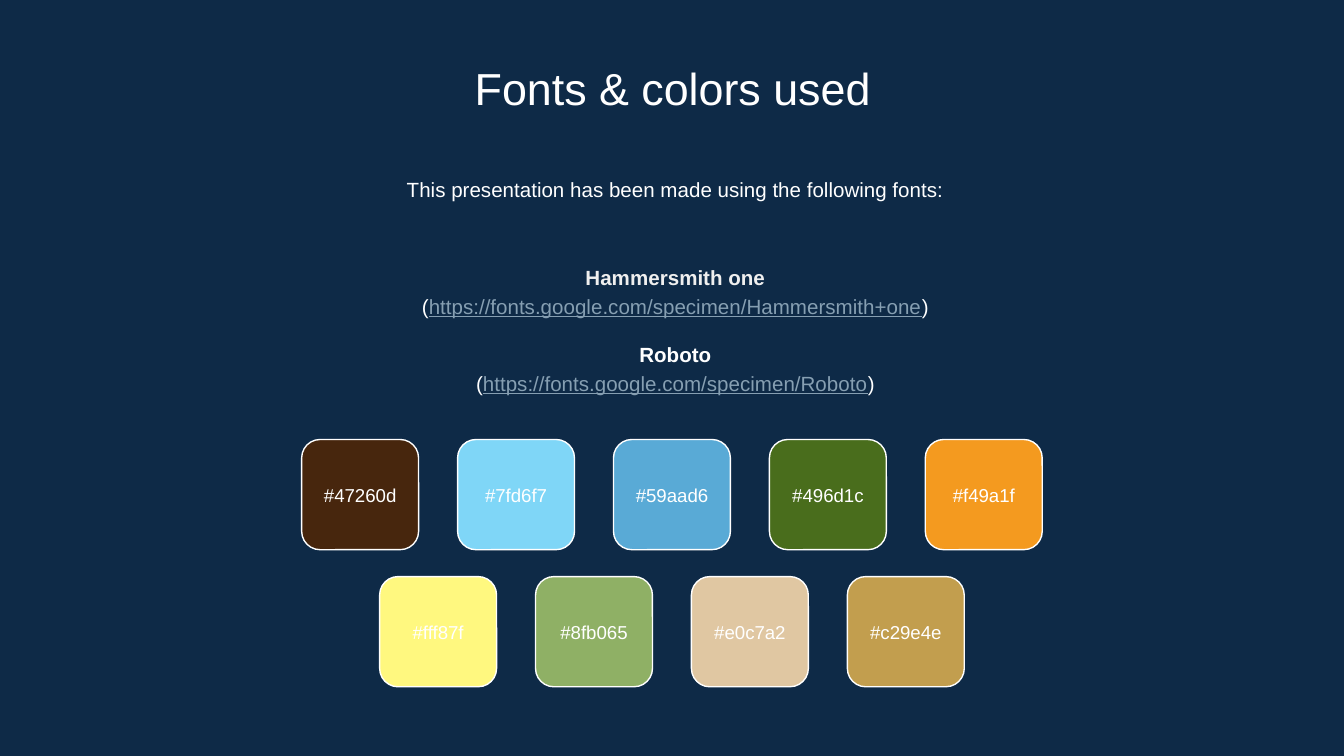
from pptx import Presentation
from pptx.dml.color import RGBColor
from pptx.enum.shapes import MSO_SHAPE
from pptx.enum.text import MSO_ANCHOR, PP_ALIGN
from pptx.util import Inches, Pt

TITLE = "Fonts & colors used"
INTRO = "This presentation has been made using the following fonts:"
NAVY = RGBColor(0x0E, 0x2A, 0x47)
WHITE = RGBColor(0xFF, 0xFF, 0xFF)
PALE = RGBColor(0xEF, 0xEF, 0xEF)
LINK = RGBColor(0x86, 0x9F, 0xB2)
FONTS = [
    ("Hammersmith one", PALE, "https://fonts.google.com/specimen/Hammersmith+one"),
    ("Roboto", WHITE, "https://fonts.google.com/specimen/Roboto"),
]
SWATCH_ROWS = [
    ["#47260d", "#7fd6f7", "#59aad6", "#496d1c", "#f49a1f"],
    ["#fff87f", "#8fb065", "#e0c7a2", "#c29e4e"],
]

SLIDE_W = 10
SLIDE_H = SLIDE_W * 9 / 16
SWATCH_W, SWATCH_H = 0.87, 0.82
PITCH_X, PITCH_Y = 1.16, 1.02
SWATCH_TOP = 3.27


def set_frame(tf, anchor):
    tf.word_wrap = True
    tf.vertical_anchor = anchor
    tf.margin_left = tf.margin_right = Inches(0.1)
    tf.margin_top = tf.margin_bottom = Inches(0.1)


def style(p, size, spacing=1.0):
    p.alignment = PP_ALIGN.CENTER
    p.line_spacing = spacing
    for r in p.runs:
        r.font.name = "Arial"
        r.font.size = Pt(size)
        r.font.color.rgb = WHITE


def add_box(s, left, top, width, height, anchor):
    box = s.shapes.add_textbox(Inches(left), Inches(top), Inches(width), Inches(height))
    set_frame(box.text_frame, anchor)
    return box.text_frame


def add_title(s):
    title = s.shapes.title
    title.left, title.top = Inches(1.15), Inches(0.35)
    title.width, title.height = Inches(7.71), Inches(0.53)
    tf = title.text_frame
    set_frame(tf, MSO_ANCHOR.TOP)
    tf.text = TITLE
    style(tf.paragraphs[0], 24)


def add_fonts(s):
    tf = add_box(s, 1.17, 1.76, 7.71, 1.37, MSO_ANCHOR.MIDDLE)
    for i, (name, color, url) in enumerate(FONTS):
        p = tf.add_paragraph() if i else tf.paragraphs[0]
        p.text = name
        style(p, 11, 1.15)
        p.runs[0].font.bold = True
        p.runs[0].font.color.rgb = color
        if i:
            p.space_before = Pt(11)
        p = tf.add_paragraph()
        for text in ("(", url, ")"):
            p.add_run().text = text
        style(p, 11, 1.15)
        p.runs[1].font.color.rgb = LINK
        p.runs[1].font.underline = True


def add_swatch(s, code, left, top):
    sp = s.shapes.add_shape(MSO_SHAPE.ROUNDED_RECTANGLE, Inches(left), Inches(top),
                            Inches(SWATCH_W), Inches(SWATCH_H))
    sp.shadow.inherit = False
    sp.fill.solid()
    sp.fill.fore_color.rgb = RGBColor.from_string(code[1:].upper())
    sp.line.color.rgb = WHITE
    sp.line.width = Pt(0.75)
    set_frame(sp.text_frame, MSO_ANCHOR.MIDDLE)
    sp.text_frame.text = code
    style(sp.text_frame.paragraphs[0], 10)


def main():
    prs = Presentation()
    prs.slide_width, prs.slide_height = Inches(SLIDE_W), Inches(SLIDE_H)
    s = prs.slides.add_slide(prs.slide_layouts[5])
    s.background.fill.solid()
    s.background.fill.fore_color.rgb = NAVY

    add_title(s)
    tf = add_box(s, 1.17, 1.19, 7.71, 0.48, MSO_ANCHOR.TOP)
    tf.text = INTRO
    style(tf.paragraphs[0], 11, 1.15)
    add_fonts(s)

    for row, codes in enumerate(SWATCH_ROWS):
        row_w = (len(codes) - 1) * PITCH_X + SWATCH_W
        left = (SLIDE_W - row_w) / 2
        for col, code in enumerate(codes):
            add_swatch(s, code, left + col * PITCH_X, SWATCH_TOP + row * PITCH_Y)

    prs.save("out.pptx")


if __name__ == "__main__":
    main()
